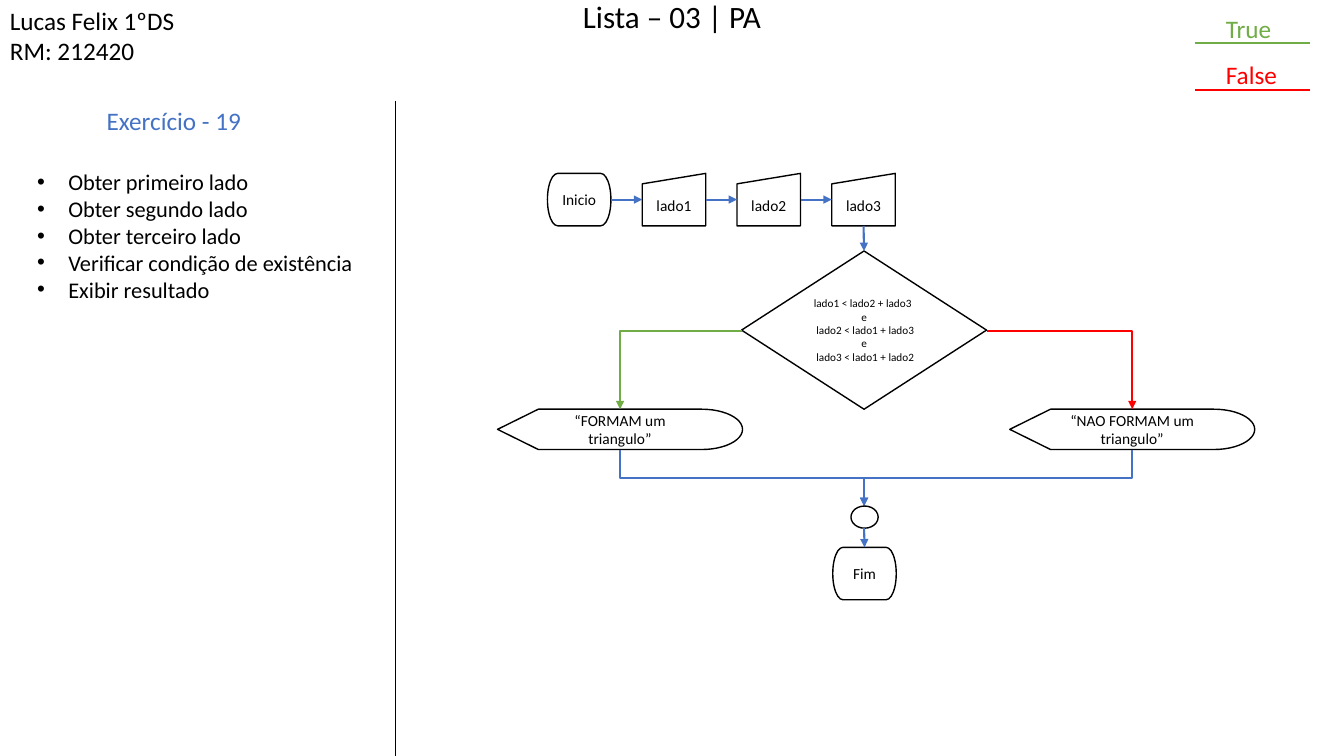
from lxml.etree import SubElement
from pptx import Presentation
from pptx.dml.color import RGBColor
from pptx.enum.shapes import MSO_CONNECTOR, MSO_SHAPE
from pptx.enum.text import MSO_ANCHOR, PP_ALIGN
from pptx.oxml.ns import qn
from pptx.util import Inches, Pt

BLACK = RGBColor(0x00, 0x00, 0x00)
BLUE = RGBColor(0x44, 0x72, 0xC4)
GREEN = RGBColor(0x70, 0xAD, 0x47)
RED = RGBColor(0xFF, 0x00, 0x00)
TOP, LEFT, BOTTOM, RIGHT = range(4)

STEP_W, STEP_H, STEP_PITCH = 0.63, 0.52, 0.94
STEP_X, STEP_Y = 5.43, 1.72
WIDE_W, MESSAGE_H = 2.43, 0.4
AXIS_X, DECISION_Y, MESSAGE_Y = 8.57, 3.28, 4.06
TRUE_X, FALSE_X = 6.15, 11.23


class FlowSlide:
    def __init__(self, slide, font="Calibri"):
        self.shapes = slide.shapes
        self.font = font

    def fill_text(self, frame, lines, size, color, align):
        frame.word_wrap = True
        frame.text = "\n".join(lines)
        for paragraph in frame.paragraphs:
            paragraph.alignment = align
            paragraph.font.name = self.font
            paragraph.font.size = Pt(size)
            paragraph.font.color.rgb = color

    def text(self, x, y, w, h, lines, size=18, color=BLACK, align=PP_ALIGN.LEFT):
        frame = self.shapes.add_textbox(Inches(x), Inches(y), Inches(w), Inches(h)).text_frame
        self.fill_text(frame, lines, size, color, align)
        return frame

    def bullets(self, x, y, w, h, items, size):
        for paragraph in self.text(x, y, w, h, items, size).paragraphs:
            properties = paragraph._p.get_or_add_pPr()
            properties.set("marL", str(Inches(0.31)))
            properties.set("indent", str(Inches(-0.31)))
            bullet_font = SubElement(properties, qn("a:buFont"), typeface="Arial")
            bullet = SubElement(properties, qn("a:buChar"), char="•")
            properties.find(qn("a:defRPr")).addprevious(bullet_font)
            bullet_font.addnext(bullet)

    def node(self, kind, x, y, w, h, lines=(), size=11):
        node = self.shapes.add_shape(kind, Inches(x), Inches(y), Inches(w), Inches(h))
        node.shadow.inherit = False
        node.fill.background()
        node.line.color.rgb = BLACK
        node.line.width = Pt(1)
        if lines:
            node.text_frame.vertical_anchor = MSO_ANCHOR.MIDDLE
            self.fill_text(node.text_frame, lines, size, BLACK, PP_ALIGN.CENTER)
        return node

    def line(self, start, end, color, width=1.5, arrow=False, kind=MSO_CONNECTOR.STRAIGHT):
        line = self.shapes.add_connector(kind, *map(Inches, (*start, *end)))
        line.line.color.rgb = color
        line.line.width = Pt(width)
        if arrow:
            SubElement(line.line._get_or_add_ln(), qn("a:tailEnd"), type="triangle")
        SubElement(line._element.spPr, qn("a:effectLst"))
        return line

    def arrow(self, start, end, source=None, target=None):
        """Straight flow arrow; source and target are optional (node, side) pairs."""
        arrow = self.line(start, end, BLUE, arrow=True)
        if source:
            arrow.begin_connect(*source)
        if target:
            arrow.end_connect(*target)

    def branch(self, start, end, color):
        """Arrow that runs sideways, then turns down once."""
        branch = self.line(start, end, color, arrow=True, kind=MSO_CONNECTOR.ELBOW)
        branch._element.spPr.find(qn("a:prstGeom")).set("prst", "bentConnector2")

    def merge(self, start, end):
        """Arrow that runs down, sideways, then down: an elbow turned a quarter."""
        (x1, y1), (x2, y2) = start, end
        mid_x, mid_y = (x1 + x2) / 2, (y1 + y2) / 2
        rightward = x2 > x1
        half_w = (y2 - y1) / 2 * (-1 if rightward else 1)
        half_h = abs(x2 - x1) / 2
        merge = self.line((mid_x - half_w, mid_y - half_h), (mid_x + half_w, mid_y + half_h),
                          BLUE, arrow=True, kind=MSO_CONNECTOR.ELBOW)
        degrees = 270 if rightward else 90
        merge._element.spPr.find(qn("a:xfrm")).set("rot", str(degrees * 60000))


def add_header(page):
    title = page.text(5.35, 0, 2.63, 0.42, ["Lista – 03 | PA"], 22.2, align=PP_ALIGN.CENTER)
    title.paragraphs[0].line_spacing = 0.8
    page.text(0, 0, 2.2, 0.71, ["Lucas Felix 1ºDS", "RM: 212420"])
    for label, text_y, line_y, color in (("True", 0.08, 0.43, GREEN), ("False", 0.54, 0.89, RED)):
        page.line((11.85, line_y), (12.99, line_y), color)
        page.text(12.06, text_y, 1.2, 0.4, [label], color=color)


def add_exercise(page):
    page.line((3.92, 1), (3.92, 7.5), BLACK, 0.5)
    page.text(0.96, 1, 2.2, 0.4, ["Exercício - 19"], color=BLUE)
    page.bullets(0.27, 1.62, 3.56, 1.45, [
        "Obter primeiro lado",
        "Obter segundo lado",
        "Obter terceiro lado",
        "Verificar condição de existência",
        "Exibir resultado",
    ], 16)


def add_flowchart(page):
    steps = []
    for i, label in enumerate(("Inicio", "lado1", "lado2", "lado3")):
        kind = MSO_SHAPE.FLOWCHART_MANUAL_INPUT if i else MSO_SHAPE.FLOWCHART_TERMINATOR
        steps.append(page.node(kind, STEP_X + i * STEP_PITCH, STEP_Y, STEP_W, STEP_H, [label]))
    middle_y = STEP_Y + STEP_H / 2
    for i, (step, following) in enumerate(zip(steps, steps[1:])):
        x = STEP_X + i * STEP_PITCH
        page.arrow((x + STEP_W, middle_y), (x + STEP_PITCH, middle_y),
                   (step, RIGHT), (following, LEFT))

    decision = page.node(MSO_SHAPE.FLOWCHART_DECISION, AXIS_X - WIDE_W / 2, 2.49, WIDE_W, 1.57, [
        "lado1 < lado2 + lado3 ",
        "e",
        " lado2 < lado1 + lado3 ",
        "e",
        " lado3 < lado1 + lado2",
    ], 8)
    page.arrow((AXIS_X, STEP_Y + STEP_H), (AXIS_X, 2.49), (steps[-1], BOTTOM), (decision, TOP))

    join_y, join_h = 5.02, 0.22
    for x, side, color, message in ((TRUE_X, -1, GREEN, "“FORMAM um triangulo”"),
                                    (FALSE_X, 1, RED, "“NAO FORMAM um triangulo”")):
        page.node(MSO_SHAPE.FLOWCHART_DISPLAY, x - WIDE_W / 2, MESSAGE_Y,
                  WIDE_W, MESSAGE_H, [message])
        page.branch((AXIS_X + side * WIDE_W / 2, DECISION_Y), (x, MESSAGE_Y), color)
        page.merge((x, MESSAGE_Y + MESSAGE_H), (AXIS_X, join_y))

    page.node(MSO_SHAPE.OVAL, 8.44, join_y, 0.27, join_h)
    finish = page.node(MSO_SHAPE.FLOWCHART_TERMINATOR, 8.26, 5.43, STEP_W, STEP_H, ["Fim"])
    page.arrow((AXIS_X, join_y + join_h), (AXIS_X, 5.43), target=(finish, TOP))


def main():
    deck = Presentation()
    deck.slide_width, deck.slide_height = Inches(13.33), Inches(7.5)
    page = FlowSlide(deck.slides.add_slide(deck.slide_layouts[6]))
    add_header(page)
    add_exercise(page)
    add_flowchart(page)
    deck.save("out.pptx")


if __name__ == "__main__":
    main()
